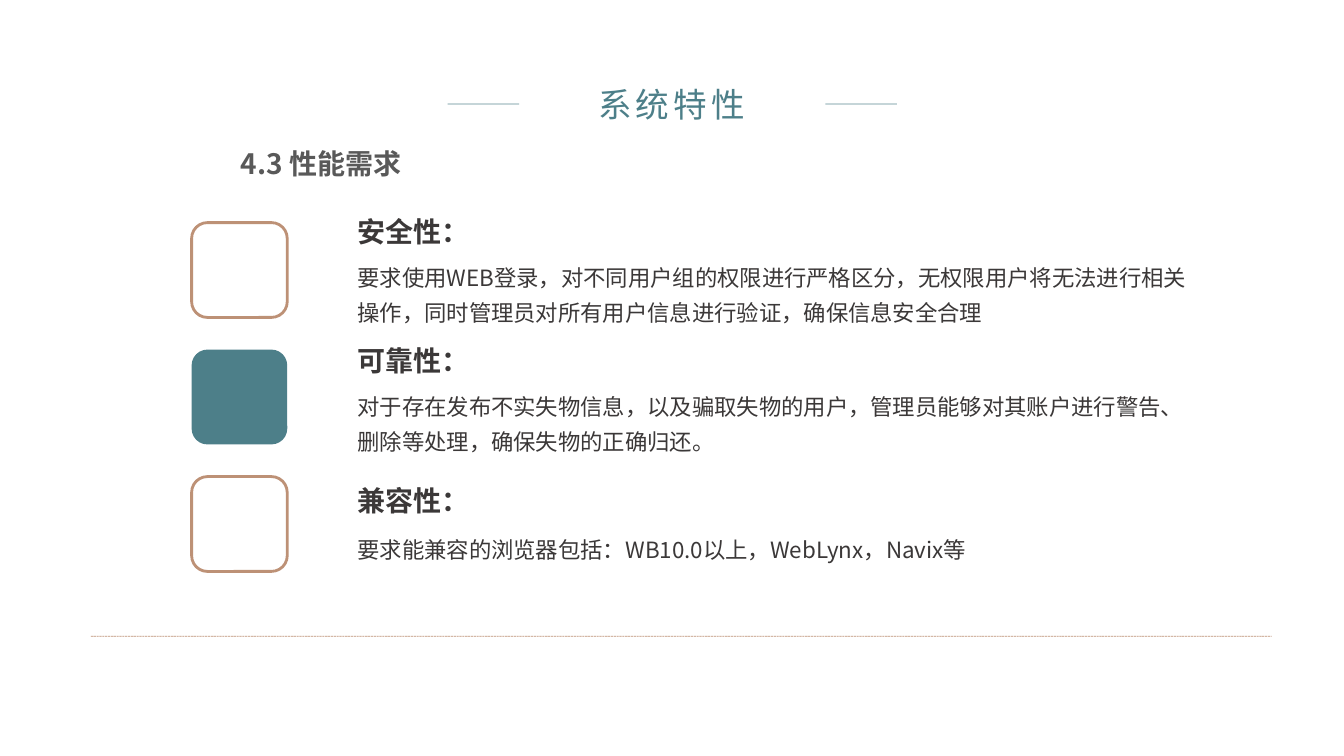
import pptx
import pptx.dml.color
import pptx.enum.dml
import pptx.enum.shapes
import pptx.enum.text
import pptx.oxml.ns
import pptx.oxml.xmlchemy
import pptx.util
import lxml.etree

Cm = pptx.util.Cm
Pt = pptx.util.Pt
FONT = "Noto Sans CJK SC"
TEAL = "4D7F89"
BROWN = "A2633C"
DARK = "3B3838"
GREY = "595959"

ITEMS = [
    ("安全性：", 5.28, 6.32, 21.69, 2.03,
     "要求使用WEB登录，对不同用户组的权限进行严格区分，无权限用户将无法进行相关操作，同时管理员对所有用户信息进行验证，确保信息安全合理"),
    ("可靠性：", 8.53, 9.58, 21.36, 2.03,
     "对于存在发布不实失物信息，以及骗取失物的用户，管理员能够对其账户进行警告、删除等处理，确保失物的正确归还。"),
    ("兼容性：", 12.07, 13.18, 21.36, 1.14,
     "要求能兼容的浏览器包括：WB10.0以上，WebLynx，Navix等"),
]


def color(text):
    return pptx.dml.color.RGBColor.from_string(text)


def add_tag(node, tag, **attrs):
    return lxml.etree.SubElement(node, pptx.oxml.ns.qn(tag), **attrs)


def set_line(shape, tone, width, alpha):
    shape.line.color.rgb = color(tone)
    shape.line.width = Pt(width)
    for node in shape.element.xpath(".//a:ln//a:srgbClr"):
        add_tag(node, "a:alpha", val=str(alpha * 1000))


def add_line(slide, left, right, top, tone, width, alpha, dash=None):
    line = slide.shapes.add_connector(
        pptx.enum.shapes.MSO_CONNECTOR.STRAIGHT,
        Cm(left), Cm(top), Cm(right), Cm(top))
    set_line(line, tone, width, alpha)
    if dash:
        line.line.dash_style = dash
    add_tag(line.element.spPr, "a:effectLst")


def add_tile(slide, top, solid):
    tile = slide.shapes.add_shape(
        pptx.enum.shapes.MSO_SHAPE.ROUNDED_RECTANGLE,
        Cm(4.83), Cm(top), Cm(2.41), Cm(2.39))
    tile.shadow.inherit = False
    if solid:
        tile.fill.solid()
        tile.fill.fore_color.rgb = color(TEAL)
        tile.line.fill.background()
    else:
        tile.fill.background()
        set_line(tile, BROWN, 2, 70)


def set_text(shape, text, size, tone, bold=False, space=None):
    frame = shape.text_frame
    frame.text = text
    frame.word_wrap = True
    frame.auto_size = pptx.enum.text.MSO_AUTO_SIZE.NONE
    for run in frame.paragraphs[0].runs:
        run.font.name = FONT
        run.font.size = Pt(size)
        run.font.bold = bold
        run.font.color.rgb = color(tone)
        props = run.font._element
        add_tag(props, "a:ea", typeface=FONT)
        if space:
            props.set("spc", str(space * 100))
    return frame.paragraphs[0]


def add_text(slide, left, top, width, height, text, size, tone, bold=False):
    box = slide.shapes.add_textbox(Cm(left), Cm(top), Cm(width), Cm(height))
    return set_text(box, text, size, tone, bold)


def add_title(slide, text):
    title = slide.shapes.title
    title.left, title.top = Cm(13.18), Cm(1.98)
    title.width, title.height = Cm(7.49), Cm(1.27)
    par = set_text(title, text, 24, TEAL, space=3)
    par.alignment = pptx.enum.text.PP_ALIGN.CENTER
    for left in (11.28, 20.8):
        add_line(slide, left, left + 1.8, 2.62, TEAL, 1, 50)


def add_item(slide, head, top, low, width, height, text):
    add_text(slide, 8.76, top, 5.44, 1.12, head, 20, DARK, True)
    par = add_text(slide, 8.76, low, width, height, text, 16, DARK)
    par.line_spacing = 1.3


def main():
    deck = pptx.Presentation()
    deck.slide_width, deck.slide_height = Cm(33.87), Cm(19.05)
    slide = deck.slides.add_slide(deck.slide_layouts[5])
    add_title(slide, "系统特性")
    add_text(slide, 5.82, 3.56, 5.46, 1.12, "4.3 性能需求", 20, GREY, True)
    for row, item in enumerate(ITEMS):
        add_tile(slide, 5.61 + 3.2 * row, row == 1)
        add_item(slide, *item)
    add_line(slide, 2.29, 32.05, 16.03, BROWN, 0.5, 70,
             pptx.enum.dml.MSO_LINE.SQUARE_DOT)
    deck.save("out.pptx")


if __name__ == "__main__":
    main()
